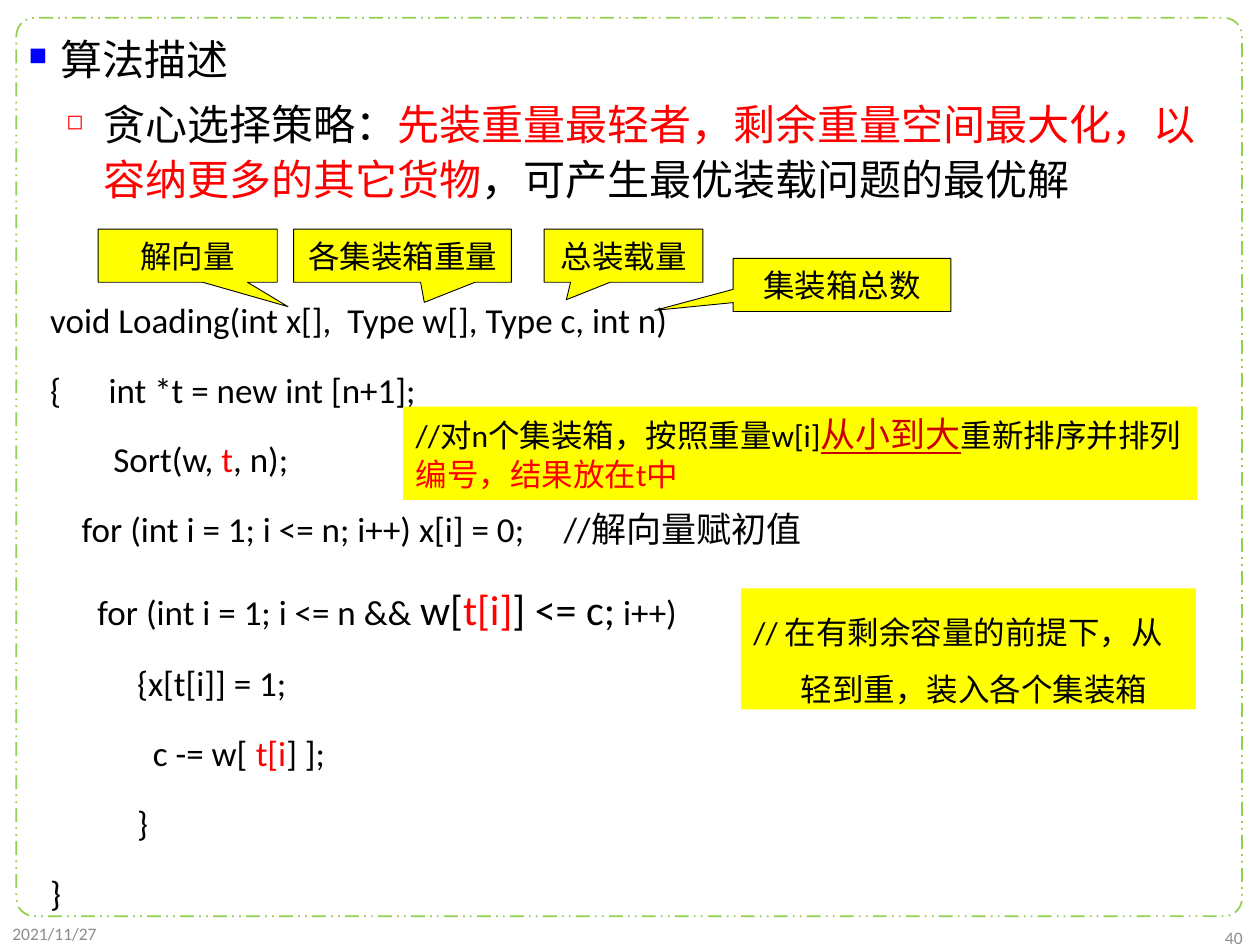
from lxml.etree import SubElement
from pptx import Presentation
from pptx.dml.color import RGBColor
from pptx.enum.dml import MSO_LINE
from pptx.enum.shapes import MSO_SHAPE
from pptx.enum.text import MSO_ANCHOR, PP_ALIGN
from pptx.oxml.ns import qn
from pptx.util import Cm, Pt

BLACK = RGBColor(0x00, 0x00, 0x00)
RED = RGBColor(0xFF, 0x00, 0x00)
DARK_RED = RGBColor(0xCC, 0x00, 0x00)
BLUE = RGBColor(0x00, 0x00, 0xFF)
YELLOW = RGBColor(0xFF, 0xFF, 0x00)
GREEN = RGBColor(0x92, 0xD0, 0x50)
GRAY = RGBColor(0x8C, 0x8C, 0x8C)


def add_span(para, text, size, color=BLACK, face="Calibri"):
    span = para.add_run()
    span.text = text
    span.font.size = Pt(size)
    span.font.name = face
    span.font.color.rgb = color
    return span


def add_box(kind, left, top, width, height, fill=None):
    area = Cm(left), Cm(top), Cm(width), Cm(height)
    if kind is None:
        box = page.shapes.add_textbox(*area)
    else:
        box = page.shapes.add_shape(kind, *area)
        box.shadow.inherit = False
        box.line.fill.background()
        if fill is None:
            box.fill.background()
        else:
            box.fill.solid()
            box.fill.fore_color.rgb = fill
    box.text_frame.word_wrap = True
    box.text_frame.vertical_anchor = MSO_ANCHOR.TOP
    box.text_frame.paragraphs[0].alignment = PP_ALIGN.LEFT
    return box


deck = Presentation()
deck.slide_width, deck.slide_height = Cm(25.4), Cm(19.05)
page = deck.slides.add_slide(deck.slide_layouts[6])

# Dashed page frame
frame = add_box(MSO_SHAPE.ROUNDED_RECTANGLE, 0.33, 0.36, 24.71, 18.11)
frame.adjustments[0] = 0.02
frame.line.color.rgb = GREEN
frame.line.width = Pt(1)
frame.line.dash_style = MSO_LINE.DASH_DOT_DOT

# Heading and strategy: indent, hanging, bullet, bullet colour, percent, spans
outline = [
    (0.64, 0.64, "■", BLUE, 60, [("算法描述", BLACK)]),
    (1.5, 0.74, "◻", RED, 50, [
        ("贪心选择策略：", BLACK),
        ("先装重量最轻者，剩余重量空间最大化，以容纳更多的其它货物", RED),
        ("，可产生最优装载问题的最优解", BLACK),
    ]),
]
body = add_box(None, 0.33, 0.46, 24.71, 17.98).text_frame
for level, (indent, hanging, mark, color, percent, spans) in enumerate(outline):
    para = body.add_paragraph() if level else body.paragraphs[0]
    para.level = level
    props = para._p.get_or_add_pPr()
    props.set("marL", str(Cm(indent)))
    props.set("indent", str(-Cm(hanging)))
    SubElement(SubElement(props, qn("a:buClr")), qn("a:srgbClr"), val=str(color))
    SubElement(props, qn("a:buSzPct"), val=str(percent * 1000))
    SubElement(props, qn("a:buChar"), char=mark)
    para.line_spacing = 1.1
    if level:
        para.space_before = Pt(5)
    for text, span_color in spans:
        add_span(para, text, 24, span_color, "Times New Roman")

# Date and page number
for text, area, align in [
    ("2021/11/27", (0, 18.44, 5.72, 0.74), PP_ALIGN.LEFT),
    ("40", (19.58, 18.57, 5.72, 0.66), PP_ALIGN.RIGHT),
]:
    box = add_box(None, *area)
    box.text_frame.vertical_anchor = MSO_ANCHOR.MIDDLE
    para = box.text_frame.paragraphs[0]
    para.alignment = align
    add_span(para, text, 10, GRAY)

# Code listing, one list of spans per line
code = [
    [("void Loading(int x[],  Type w[], Type c, int n)", 20, BLACK)],
    [("{      int *t = new int [n+1];", 20, BLACK)],
    [("        Sort(w, ", 20, BLACK), ("t", 20, RED), (", n);", 20, BLACK)],
    [("    for (int i = 1; i <= n; i++) x[i] = 0;     //解向量赋初值", 20, BLACK)],
    [("      for (int i = 1; i <= n && ", 20, BLACK), ("w[", 24, BLACK),
     ("t[i]", 24, RED), ("] <= c;", 24, BLACK), (" i++)", 20, BLACK)],
    [("           {x[t[i]] = 1;", 20, BLACK)],
    [("             c -= w[ ", 20, BLACK), ("t[i", 20, RED), ("] ];", 20, BLACK)],
    [("           }", 20, BLACK)],
    [("}", 20, BLACK)],
]
listing = add_box(None, 0.76, 5.46, 24.89, 15.39).text_frame
for row, spans in enumerate(code):
    para = listing.add_paragraph() if row else listing.paragraphs[0]
    props = para._p.get_or_add_pPr()
    props.set("marL", str(Cm(0.95)))
    props.set("indent", str(-Cm(0.95)))
    para.line_spacing = 1.5
    if row:
        para.space_before = Pt(0.2 * max(size for _, size, _ in spans))
    for text, size, color in spans:
        add_span(para, text, size, color)

# Parameter callouts: text, left, top, width, pointer tip
for text, left, top, width, tip in [
    ("集装箱总数", 14.78, 5.21, 4.39, (-0.86, 0.48)),
    ("各集装箱重量", 5.92, 4.62, 4.39, (0.1, 0.88)),
    ("解向量", 1.98, 4.62, 3.61, (0.56, 0.96)),
    ("总装载量", 10.97, 4.62, 3.2, (-0.36, 0.83)),
]:
    box = add_box(MSO_SHAPE.RECTANGULAR_CALLOUT, left, top, width, 1.07, YELLOW)
    box.adjustments[0], box.adjustments[1] = tip
    box.line.color.rgb = BLACK
    box.line.width = Pt(0.5)
    box.text_frame.vertical_anchor = MSO_ANCHOR.MIDDLE
    para = box.text_frame.paragraphs[0]
    para.alignment = PP_ALIGN.CENTER
    add_span(para, text, 18)

# Note on sorting
box = add_box(MSO_SHAPE.RECTANGLE, 8.13, 8.2, 16, 1.88, YELLOW)
para = box.text_frame.paragraphs[0]
add_span(para, "//对n个集装箱，按照重量w[i]", 18)
add_span(para, "从小到大", 20, DARK_RED).font.underline = True
add_span(para, "重新排序并排列", 18)
add_span(para, "编号，结果放在t中", 18, RED)

# Note on loading
box = add_box(MSO_SHAPE.RECTANGLE, 14.94, 11.86, 9.17, 2.44, YELLOW)
para = box.text_frame.paragraphs[0]
props = para._p.get_or_add_pPr()
props.set("marL", str(Cm(0.95)))
props.set("indent", str(-Cm(0.95)))
para.line_spacing = 1.5
add_span(para, "// 在有剩余容量的前提下，从轻到重，装入各个集装箱", 18)

deck.save("out.pptx")
